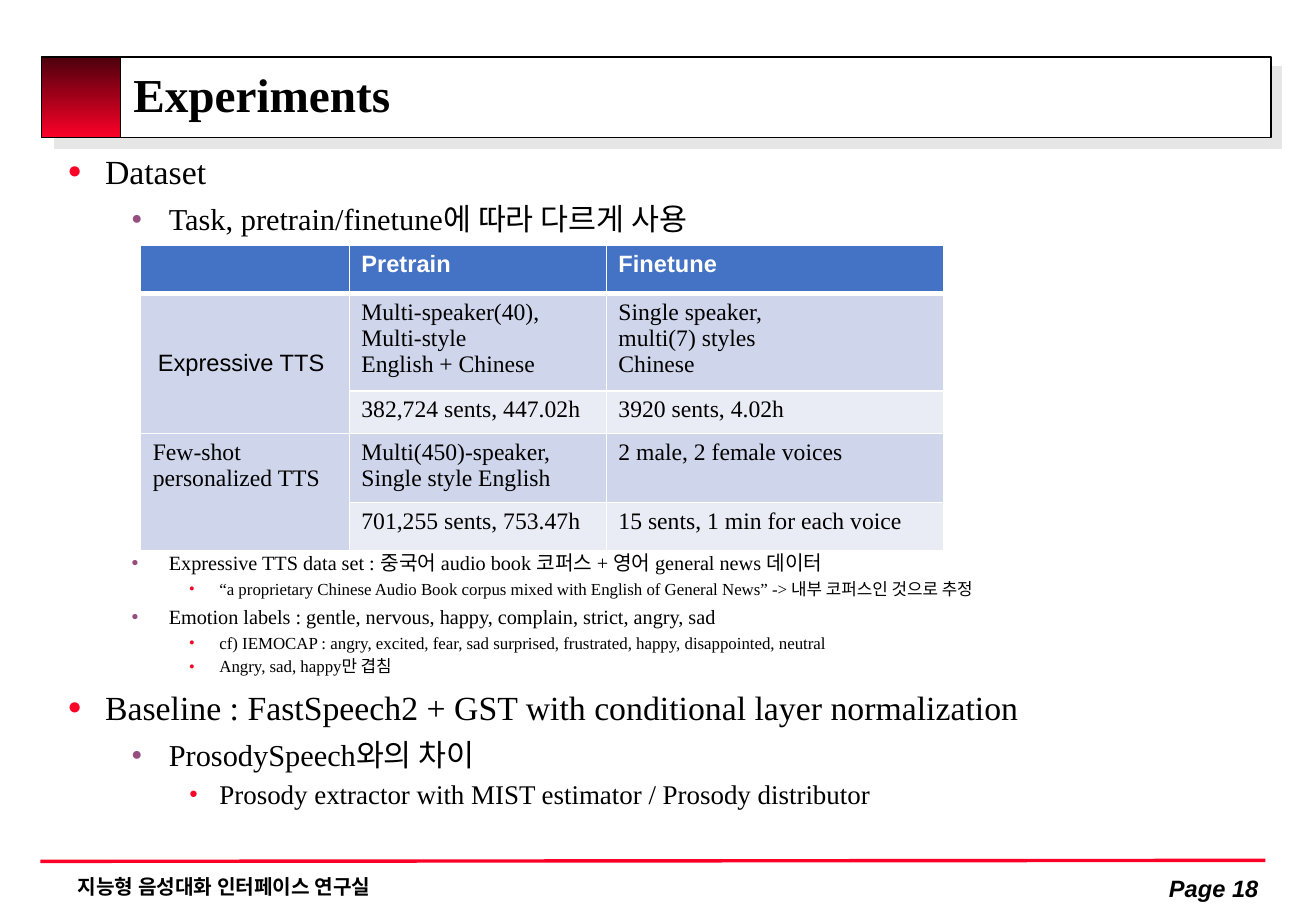
from lxml.etree import SubElement
from pptx import Presentation
from pptx.dml.color import RGBColor
from pptx.enum.shapes import MSO_CONNECTOR, MSO_SHAPE
from pptx.enum.text import MSO_ANCHOR as Anchor, PP_ALIGN as Align
from pptx.oxml.ns import qn
from pptx.util import Pt

EMU_PER_PX = 7620  # 120 px to the inch
SERIF, SANS = "Times New Roman", "Arial"

BLACK = RGBColor(0x00, 0x00, 0x00)
WHITE = RGBColor(0xFF, 0xFF, 0xFF)
RED = RGBColor(0xFC, 0x01, 0x28)
DARK_RED = RGBColor(0x4B, 0x00, 0x0C)
PURPLE = RGBColor(0x96, 0x4D, 0x7F)
SHADOW_GRAY = RGBColor(0xE7, 0xE6, 0xE6)
HEADER_BLUE = RGBColor(0x44, 0x72, 0xC4)
BAND_DARK = RGBColor(0xCF, 0xD5, 0xEA)
BAND_LIGHT = RGBColor(0xE9, 0xEB, 0xF5)

# Per level: left margin px, hanging px, space before %, bullet size %, bullet colour
LEVELS = [
    (37, 37, 30, 70, RED),
    (100, 37, 30, 60, PURPLE),
    (150, 30, 20, 55, RED),
]

# Level, size in points, text
DATASET_OUTLINE = [
    (0, 20, "Dataset"),
    (1, 18, "Task, pretrain/finetune에 따라 다르게 사용"),
]
DETAILS_OUTLINE = [
    (1, 12, "Expressive TTS data set : 중국어 audio book 코퍼스 + 영어 general news 데이터"),
    (2, 10, "“a proprietary Chinese Audio Book corpus mixed with English of "
            "General News” -> 내부 코퍼스인 것으로 추정"),
    (1, 12, "Emotion labels : gentle, nervous, happy, complain, strict, angry, sad"),
    (2, 10, "cf) IEMOCAP : angry, excited, fear, sad surprised, frustrated, "
            "happy, disappointed, neutral"),
    (2, 10, "Angry, sad, happy만 겹침"),
    (0, 20, "Baseline : FastSpeech2 + GST with conditional layer normalization"),
    (1, 18, "ProsodySpeech와의 차이"),
    (2, 16, "Prosody extractor with MIST estimator / Prosody distributor"),
]

COLUMN_WIDTHS = [206, 254, 333]
ROW_HEIGHTS = [40, 96, 42, 67, 48]
TABLE_ROWS = [
    ["", "Pretrain", "Finetune"],
    ["Expressive TTS", "Multi-speaker(40),\nMulti-style\nEnglish + Chinese",
     "Single speaker,\nmulti(7) styles\nChinese"],
    ["", "382,724 sents, 447.02h", "3920 sents, 4.02h"],
    ["Few-shot\npersonalized TTS", "Multi(450)-speaker,\nSingle style English",
     "2 male, 2 female voices"],
    ["", "701,255 sents, 753.47h", "15 sents, 1 min for each voice"],
]


def px(length):
    return int(length * EMU_PER_PX)


def box_px(*lengths):
    return [px(length) for length in lengths]


def add_color(parent, color):
    SubElement(parent, qn("a:srgbClr"), val=str(color))


def add_shadow(properties, distance, direction=45):
    """Add a hard offset shadow; distance in points, direction in degrees."""
    effects = SubElement(properties, qn("a:effectLst"))
    shadow = SubElement(effects, qn("a:outerShdw"), dist=str(Pt(distance)),
                        dir=str(direction * 60000), algn="ctr", rotWithShape="0")
    add_color(shadow, SHADOW_GRAY)


def format_runs(paragraphs, size, font_name, color=BLACK, bold=False, italic=False):
    for paragraph in paragraphs:
        for run in paragraph.runs:
            font = run.font
            font.size, font.name = Pt(size), font_name
            font.bold, font.italic = bold, italic
            font.color.rgb = color


def add_text(slide, box, text, size, font_name, **style):
    text_frame = slide.shapes.add_textbox(*box_px(*box)).text_frame
    text_frame.word_wrap = True
    text_frame.text = text
    format_runs(text_frame.paragraphs, size, font_name, **style)
    return text_frame


def add_rectangle(slide, box):
    shape = slide.shapes.add_shape(MSO_SHAPE.RECTANGLE, *box_px(*box))
    shape.shadow.inherit = False
    shape.line.color.rgb = BLACK
    shape.line.width = Pt(1)
    return shape


def add_title_bar(slide):
    bar = add_rectangle(slide, (44, 56, 1212, 80))
    bar.fill.solid()
    bar.fill.fore_color.rgb = WHITE
    properties = bar.element.spPr
    properties.remove(properties.find(qn("a:effectLst")))
    add_shadow(properties, 8.5)

    accent = add_rectangle(slide, (41, 56, 78, 80))
    accent.fill.gradient()
    accent.fill.gradient_angle = 270
    for stop, color, position in zip(accent.fill.gradient_stops, (DARK_RED, RED), (0, 1)):
        stop.color.rgb = color
        stop.position = position

    title = add_text(slide, (120, 53, 1140, 90), "Experiments", 28, SERIF, bold=True)
    title.vertical_anchor = Anchor.MIDDLE
    paragraph = title.paragraphs[0]
    paragraph.line_spacing = 0.8
    add_shadow(paragraph.runs[0].font._element, 2)


def add_bullet(paragraph, level):
    margin, hanging, space, bullet_size, color = LEVELS[level]
    paragraph.level = level
    properties = paragraph._p.get_or_add_pPr()
    properties.set("marL", str(px(margin)))
    properties.set("indent", str(-px(hanging)))
    before = SubElement(properties, qn("a:spcBef"))
    SubElement(before, qn("a:spcPct"), val=str(space * 1000))
    add_color(SubElement(properties, qn("a:buClr")), color)
    SubElement(properties, qn("a:buSzPct"), val=str(bullet_size * 1000))
    SubElement(properties, qn("a:buFont"), typeface=SERIF)
    SubElement(properties, qn("a:buChar"), char="●")


def add_outline(slide, box, outline):
    text_frame = slide.shapes.add_textbox(*box_px(*box)).text_frame
    text_frame.word_wrap = True
    text_frame.text = "\n".join(text for _, _, text in outline)
    for paragraph, (level, size, _) in zip(text_frame.paragraphs, outline):
        add_bullet(paragraph, level)
        format_runs([paragraph], size, SERIF)


def add_cell_borders(cell, bottom_width):
    properties = cell._tc.get_or_add_tcPr()
    for side, width in (("L", 1), ("R", 1), ("T", 1), ("B", bottom_width)):
        line = SubElement(properties, qn(f"a:ln{side}"), w=str(Pt(width)))
        add_color(SubElement(line, qn("a:solidFill")), WHITE)


def format_cell(cell, row, column):
    is_header = row == 0
    add_cell_borders(cell, 3 if is_header else 1)
    cell.fill.solid()
    is_dark = column == 0 or row % 2 == 1
    cell.fill.fore_color.rgb = (
        HEADER_BLUE if is_header else BAND_DARK if is_dark else BAND_LIGHT)
    is_sans = is_header or (row, column) == (1, 0)
    format_runs(cell.text_frame.paragraphs, 14, SANS if is_sans else SERIF,
                WHITE if is_header else BLACK, bold=is_header)


def add_dataset_table(slide):
    frame = slide.shapes.add_table(
        len(ROW_HEIGHTS), len(COLUMN_WIDTHS),
        *box_px(139, 242, sum(COLUMN_WIDTHS), sum(ROW_HEIGHTS)))
    table = frame.table
    for column, width in zip(table.columns, COLUMN_WIDTHS):
        column.width = px(width)
    for row, height in zip(table.rows, ROW_HEIGHTS):
        row.height = px(height)
    for r, texts in enumerate(TABLE_ROWS):
        for c, text in enumerate(texts):
            cell = table.cell(r, c)
            cell.text_frame.text = text
            format_cell(cell, r, c)
    for first_row in (1, 3):
        table.cell(first_row, 0).merge(table.cell(first_row + 1, 0))
    expressive = table.cell(1, 0)
    expressive.vertical_anchor = Anchor.MIDDLE
    expressive.margin_left = expressive.margin_right = px(17)
    expressive.margin_top = expressive.margin_bottom = px(7)


def add_footer(slide):
    rule = slide.shapes.add_connector(MSO_CONNECTOR.STRAIGHT, *box_px(40, 851, 1250, 850))
    rule.line.color.rgb = RED
    rule.line.width = Pt(2)
    SubElement(rule.element.spPr, qn("a:effectLst"))
    add_text(slide, (65, 858, 869, 36), "지능형 음성대화 인터페이스 연구실", 12, SANS, bold=True)
    page = add_text(slide, (1115, 857, 140, 40), "Page 18", 14, SANS, bold=True, italic=True)
    page.vertical_anchor = Anchor.MIDDLE
    page.paragraphs[0].alignment = Align.RIGHT


def main():
    presentation = Presentation()
    presentation.slide_width, presentation.slide_height = box_px(1300, 900)
    slide = presentation.slides.add_slide(presentation.slide_layouts[6])
    add_title_bar(slide)
    add_footer(slide)
    add_outline(slide, (55, 143, 1214, 95), DATASET_OUTLINE)
    add_outline(slide, (55, 538, 1214, 295), DETAILS_OUTLINE)
    add_dataset_table(slide)
    presentation.save("out.pptx")


if __name__ == "__main__":
    main()
